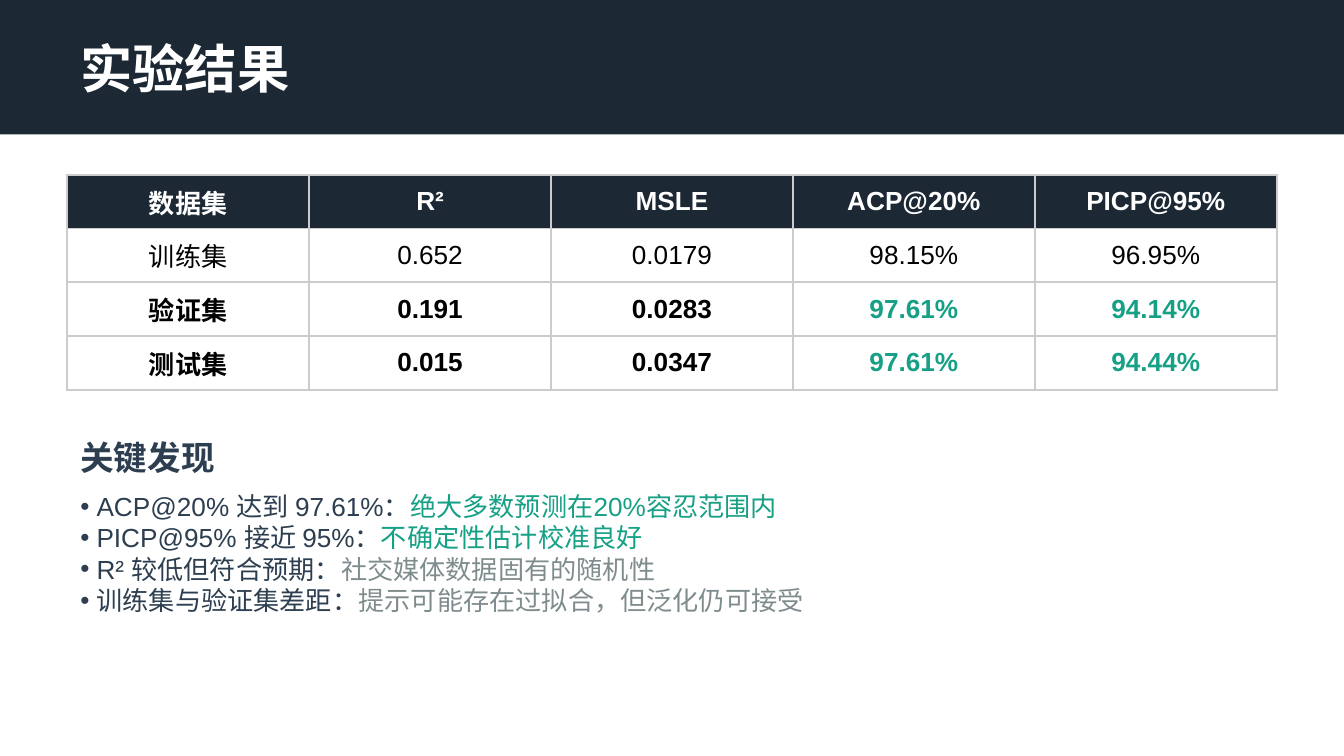
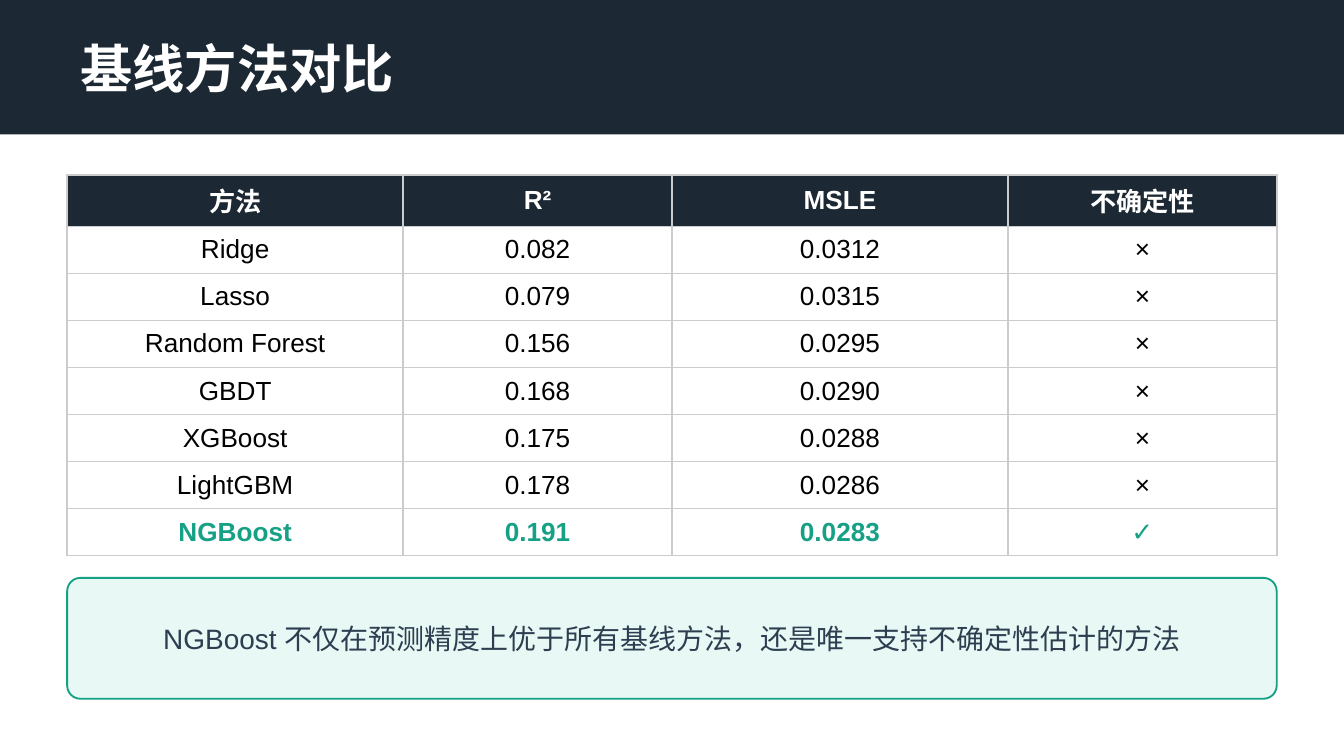
from lxml import etree
from pptx import Presentation
from pptx.dml.color import RGBColor
from pptx.enum.shapes import MSO_SHAPE
from pptx.enum.text import MSO_ANCHOR, MSO_AUTO_SIZE, PP_ALIGN
from pptx.oxml.ns import qn
from pptx.util import Emu, Pt

PX = Emu(4572)  # 200 px to the inch
RECTANGLE, ROUNDED = MSO_SHAPE.RECTANGLE, MSO_SHAPE.ROUNDED_RECTANGLE
MIDDLE = MSO_ANCHOR.MIDDLE
LEFT, CENTER = PP_ALIGN.LEFT, PP_ALIGN.CENTER
NO_AUTOFIT = MSO_AUTO_SIZE.NONE

NAVY = RGBColor(0x1C, 0x28, 0x33)
SLATE = RGBColor(0x2C, 0x3E, 0x50)
GREEN = RGBColor(0x16, 0xA0, 0x85)
MINT = RGBColor(0xE8, 0xF8, 0xF5)
GRAY = RGBColor(0x7F, 0x8C, 0x8D)
GRID = RGBColor(0xCC, 0xCC, 0xCC)
BLACK = RGBColor(0, 0, 0)
WHITE = RGBColor(0xFF, 0xFF, 0xFF)
FONT = "Arial"

WIDTH, HEIGHT = 2000, 1125
MARGIN = 100
CONTENT_WIDTH = WIDTH - 2 * MARGIN
BAND_HEIGHT = 200
TABLE_TOP = 260

prs = Presentation()
prs.slide_width, prs.slide_height = WIDTH * PX, HEIGHT * PX
title_only = prs.slide_layouts[5]


def add_titled_slide(heading):
    slide = prs.slides.add_slide(title_only)
    band = slide.shapes.add_shape(RECTANGLE, 0, 0, WIDTH * PX, BAND_HEIGHT * PX)
    band.shadow.inherit = False
    band.fill.solid()
    band.fill.fore_color.rgb = NAVY
    band.line.fill.background()

    title = slide.shapes.title
    title.element.addprevious(band.element)
    title.left, title.top = MARGIN * PX, 50 * PX
    title.width, title.height = CONTENT_WIDTH * PX, 100 * PX
    title.text_frame.auto_size = NO_AUTOFIT
    title.text_frame.vertical_anchor = MIDDLE
    title.text_frame.text = heading
    para = title.text_frame.paragraphs[0]
    para.alignment = LEFT
    para.font.name, para.font.size, para.font.bold = FONT, Pt(28), True
    para.font.color.rgb = WHITE
    return slide


def add_results_table(slide, rows, column_widths, row_height, best_row, accent_column):
    """Rows from best_row on are bold, and green from accent_column on."""
    table = slide.shapes.add_table(
        len(rows), len(column_widths), MARGIN * PX, TABLE_TOP * PX,
        sum(column_widths) * PX, len(rows) * row_height * PX).table
    table.horz_banding = False
    for column, width in zip(table.columns, column_widths):
        column.width = width * PX
    for r, values in enumerate(rows):
        table.rows[r].height = row_height * PX
        for c, value in enumerate(values):
            cell = table.cell(r, c)
            cell.vertical_anchor = MIDDLE
            cell.text = value
            para = cell.text_frame.paragraphs[0]
            para.alignment = CENTER
            para.font.name, para.font.size = FONT, Pt(14)
            para.font.bold = r == 0 or r >= best_row
            if r == 0:
                para.font.color.rgb = WHITE
            else:
                accented = r >= best_row and c >= accent_column
                para.font.color.rgb = GREEN if accented else BLACK

            properties = cell._tc.get_or_add_tcPr()
            for side in ("a:lnL", "a:lnR", "a:lnT", "a:lnB"):
                border = etree.SubElement(properties, qn(side), w=str(Pt(1)))
                paint = etree.SubElement(border, qn("a:solidFill"))
                etree.SubElement(paint, qn("a:srgbClr"), val=str(GRID))
            if r == 0:
                cell.fill.solid()
                cell.fill.fore_color.rgb = NAVY
            else:
                cell.fill.background()


# Experiment results
results = add_titled_slide("实验结果")
add_results_table(results, [
    ("数据集", "R²", "MSLE", "ACP@20%", "PICP@95%"),
    ("训练集", "0.652", "0.0179", "98.15%", "96.95%"),
    ("验证集", "0.191", "0.0283", "97.61%", "94.14%"),
    ("测试集", "0.015", "0.0347", "97.61%", "94.44%"),
], [CONTENT_WIDTH // 5] * 5, 80, best_row=2, accent_column=3)

findings_heading = results.shapes.add_textbox(
    MARGIN * PX, 640 * PX, CONTENT_WIDTH * PX, 80 * PX).text_frame
findings_heading.word_wrap = True
findings_heading.vertical_anchor = MIDDLE
findings_heading.text = "关键发现"
para = findings_heading.paragraphs[0]
para.font.name, para.font.size, para.font.bold = FONT, Pt(18), True
para.font.color.rgb = SLATE

findings = results.shapes.add_textbox(
    MARGIN * PX, 720 * PX, CONTENT_WIDTH * PX, 360 * PX).text_frame
findings.word_wrap = True
for i, (finding, meaning, color) in enumerate([
    ("ACP@20% 达到 97.61%：", "绝大多数预测在20%容忍范围内", GREEN),
    ("PICP@95% 接近 95%：", "不确定性估计校准良好", GREEN),
    ("R² 较低但符合预期：", "社交媒体数据固有的随机性", GRAY),
    ("训练集与验证集差距：", "提示可能存在过拟合，但泛化仍可接受", GRAY),
]):
    para = findings.add_paragraph() if i else findings.paragraphs[0]
    para.font.name, para.font.size = FONT, Pt(14)
    for text, run_color in ((finding, SLATE), (meaning, color)):
        run = para.add_run()
        run.text = text
        run.font.color.rgb = run_color
    properties = para._p.get_or_add_pPr()
    indent = 24 * PX
    properties.set("marL", str(indent))
    properties.set("indent", str(-indent))
    bullet_color = etree.Element(qn("a:buClr"))
    etree.SubElement(bullet_color, qn("a:srgbClr"), val=str(SLATE))
    bullet_font = etree.Element(qn("a:buFont"), typeface=FONT)
    bullet = etree.Element(qn("a:buChar"), char="•")
    for position, part in enumerate((bullet_color, bullet_font, bullet)):
        properties.insert(position, part)

# Baseline comparison
baselines = add_titled_slide("基线方法对比")
add_results_table(baselines, [
    ("方法", "R²", "MSLE", "不确定性"),
    ("Ridge", "0.082", "0.0312", "×"),
    ("Lasso", "0.079", "0.0315", "×"),
    ("Random Forest", "0.156", "0.0295", "×"),
    ("GBDT", "0.168", "0.0290", "×"),
    ("XGBoost", "0.175", "0.0288", "×"),
    ("LightGBM", "0.178", "0.0286", "×"),
    ("NGBoost", "0.191", "0.0283", "✓"),
], [500, 400, 500, 400], 70, best_row=7, accent_column=0)

conclusion = baselines.shapes.add_shape(
    ROUNDED, MARGIN * PX, 860 * PX, CONTENT_WIDTH * PX, 180 * PX)
conclusion.adjustments[0] = 0.11
conclusion.shadow.inherit = False
conclusion.fill.solid()
conclusion.fill.fore_color.rgb = MINT
conclusion.line.color.rgb = GREEN
conclusion.line.width = Pt(1)
conclusion.text_frame.word_wrap = True
conclusion.text_frame.vertical_anchor = MIDDLE
conclusion.text_frame.text = "NGBoost 不仅在预测精度上优于所有基线方法，还是唯一支持不确定性估计的方法"
para = conclusion.text_frame.paragraphs[0]
para.alignment = CENTER
para.font.name, para.font.size = FONT, Pt(15)
para.font.color.rgb = SLATE

prs.save("out.pptx")
